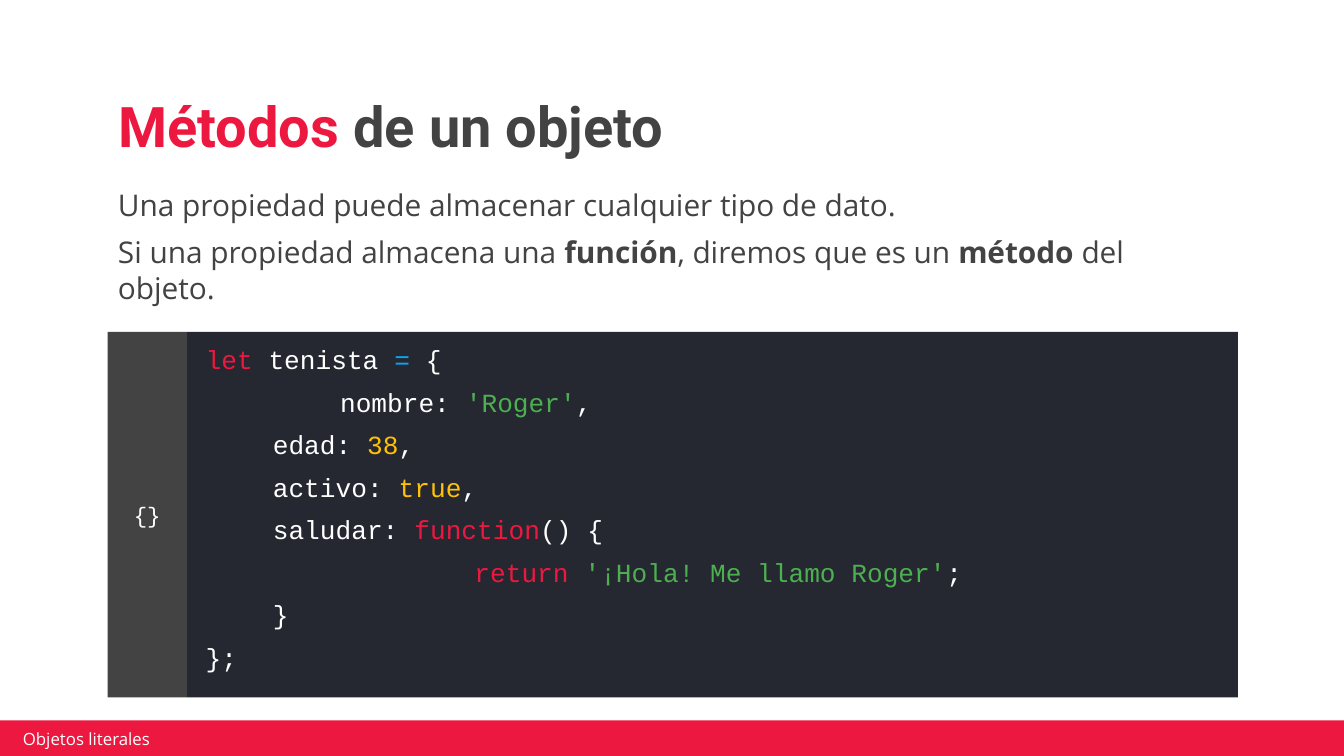
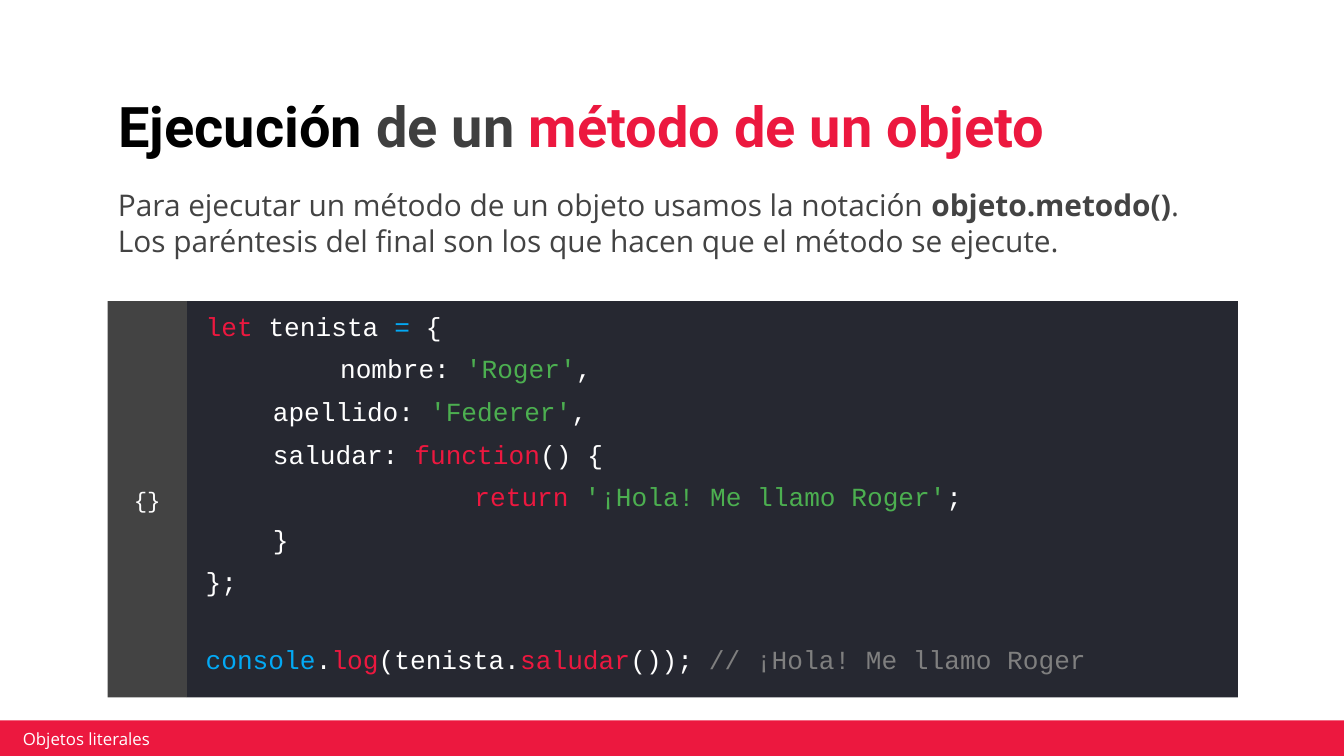
from pptx import Presentation
from pptx.dml.color import RGBColor
from pptx.enum import shapes, text
from pptx.util import Inches, Pt

COLORS = {
    "red": "EC183F", "gray": "434343", "soft_gray": "3F3F3F", "black": "000000",
    "white": "FFFFFF", "panel": "262831", "blue": "03A9F4", "green": "4CAF50",
    "amber": "FFC107", "comment": "7F7F7F",
}
HEADING, BODY, CODE = "Roboto", "Open Sans", "Courier New"
LEFT, WIDTH = 0.78, 8.43
GUTTER_LEFT, GUTTER_WIDTH = 0.8, 0.59
CODE_BOTTOM = 5.19

# Code lines: (indent in inches, space before in points, [(text, colour), ...])
OPENING = [
    (0, 6, [("let", "red"), (" tenista ", "white"), ("=", "blue"), (" {", "white")]),
    (1, 6, [("nombre: ", "white"), ("'Roger'", "green"), (",", "white")]),
]
GREETING = [
    (0.5, 6, [("saludar: ", "white"), ("function", "red"), ("() {", "white")]),
    (2, 6, [("return ", "red"), ("'¡Hola! Me llamo Roger'", "green"), (";", "white")]),
    (0.5, 6, [("}", "white")]),
    (0, 6, [("};", "white")]),
]


def rgb(name):
    return RGBColor.from_string(COLORS[name])


def box(left, top, width, height):
    return [Inches(value) for value in (left, top, width, height)]


def set_frame(frame, anchor, insets=(0.1, 0.1, 0.1, 0.1)):
    frame.word_wrap = True
    frame.auto_size = text.MSO_AUTO_SIZE.NONE
    frame.vertical_anchor = anchor
    (frame.margin_left, frame.margin_top,
     frame.margin_right, frame.margin_bottom) = box(*insets)


def add_run(paragraph, words, font, size, color, bold=False):
    run = paragraph.add_run()
    run.text = words
    run.font.name = font
    run.font.size = Pt(size)
    run.font.bold = bold
    run.font.color.rgb = rgb(color)


def next_paragraph(frame, index, before=0, align=text.PP_ALIGN.LEFT):
    paragraph = frame.add_paragraph() if index else frame.paragraphs[0]
    paragraph.alignment = align
    paragraph.space_before = Pt(before)
    return paragraph


def add_rectangle(parent, bounds, color):
    rectangle = parent.add_shape(shapes.MSO_SHAPE.RECTANGLE, *box(*bounds))
    rectangle.shadow.inherit = False
    rectangle.fill.solid()
    rectangle.fill.fore_color.rgb = rgb(color)
    rectangle.line.fill.background()
    return rectangle


def set_title(slide, runs):
    title = slide.shapes.title
    title.left, title.top, title.width, title.height = box(LEFT, 0.6, WIDTH, 0.69)
    set_frame(title.text_frame, text.MSO_ANCHOR.BOTTOM)
    paragraph = next_paragraph(title.text_frame, 0)
    paragraph.line_spacing = 0.9
    for words, color in runs:
        add_run(paragraph, words, HEADING, 30, color, bold=True)


def add_explanation(slide, paragraphs):
    """Each paragraph is a list of strings; every second one is bold."""
    frame = slide.shapes.add_textbox(*box(LEFT, 1.29, WIDTH, 0.53)).text_frame
    set_frame(frame, text.MSO_ANCHOR.TOP)
    for index, pieces in enumerate(paragraphs):
        paragraph = next_paragraph(frame, index, before=6)
        for position, words in enumerate(pieces):
            add_run(paragraph, words, BODY, 16, "gray", bold=position % 2 == 1)


def add_code(slide, top, lines):
    group = slide.shapes.add_group_shape().shapes
    height = CODE_BOTTOM - top
    code_left = GUTTER_LEFT + GUTTER_WIDTH

    panel = add_rectangle(group, (code_left, top, LEFT + WIDTH - code_left, height), "panel")
    set_frame(panel.text_frame, text.MSO_ANCHOR.MIDDLE, (0.14, 0, 0.1, 0.1))
    for index, (indent, before, runs) in enumerate(lines):
        paragraph = next_paragraph(panel.text_frame, index, before)
        if indent:
            paragraph._p.get_or_add_pPr().set("marL", str(Inches(indent)))
        for words, color in runs:
            add_run(paragraph, words, CODE, 14, color)

    gutter = add_rectangle(group, (GUTTER_LEFT, top, GUTTER_WIDTH, height), "gray")
    set_frame(gutter.text_frame, text.MSO_ANCHOR.MIDDLE)
    braces = next_paragraph(gutter.text_frame, 0, align=text.PP_ALIGN.CENTER)
    add_run(braces, "{}", CODE, 12, "white")


def add_footer(slide):
    add_rectangle(slide.shapes, (-0.02, 5.36, 10.03, 0.27), "red")
    frame = slide.shapes.add_textbox(*box(0.12, 5.42, 2.39, 0.15)).text_frame
    set_frame(frame, text.MSO_ANCHOR.MIDDLE, (0.05, 0.02, 0.05, 0.02))
    add_run(next_paragraph(frame, 0), "Objetos literales", BODY, 9, "white")


def add_lesson(deck, title, explanation, code_top, code):
    slide = deck.slides.add_slide(deck.slide_layouts.get_by_name("Title Only"))
    set_title(slide, title)
    add_explanation(slide, explanation)
    add_code(slide, code_top, code)
    add_footer(slide)


def main():
    deck = Presentation()
    deck.slide_width = Inches(10)
    deck.slide_height = deck.slide_width * 9 // 16

    add_lesson(
        deck,
        [("Métodos", "red"), (" de un objeto", "gray")],
        [["Una propiedad puede almacenar cualquier tipo de dato."],
         ["Si una propiedad almacena una ", "función", ", diremos que es un ",
          "método", " del objeto."]],
        2.47,
        OPENING + [
            (0.5, 6, [("edad: ", "white"), ("38", "amber"), (",", "white")]),
            (0.5, 6, [("activo: ", "white"), ("true", "amber"), (",", "white")]),
        ] + GREETING,
    )
    add_lesson(
        deck,
        [("Ejecución ", "black"), ("de un ", "soft_gray"), ("método de un objeto", "red")],
        [["Para ejecutar un método de un objeto usamos la notación ", "objeto.metodo()",
          ". Los paréntesis del final son los que hacen que el método se ejecute."]],
        2.24,
        OPENING + [
            (0.5, 6, [("apellido: ", "white"), ("'Federer'", "green"), (",", "white")]),
        ] + GREETING + [
            (0, 25, [("console", "blue"), (".", "white"), ("log", "red"),
                     ("(tenista.", "white"), ("saludar", "red"), ("()); ", "white"),
                     ("// ¡Hola! Me llamo Roger", "comment")]),
        ],
    )
    deck.save("out.pptx")


if __name__ == "__main__":
    main()
